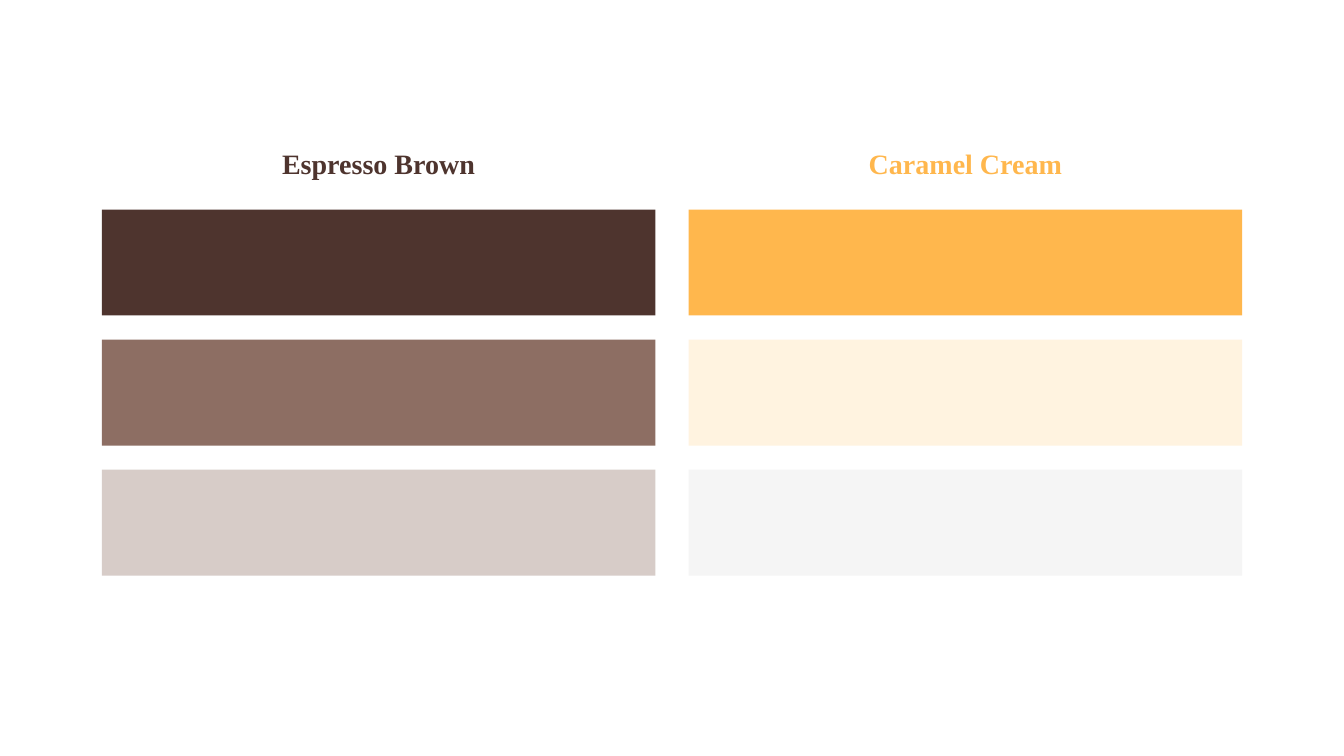
"""Build a slide with two named colour palettes of three swatches each."""
from pptx import Presentation
from pptx.dml.color import RGBColor
from pptx.enum.shapes import MSO_SHAPE
from pptx.enum.text import MSO_AUTO_SIZE, PP_ALIGN
from pptx.util import Inches, Pt

RECTANGLE = MSO_SHAPE.RECTANGLE
GROW = MSO_AUTO_SIZE.SHAPE_TO_FIT_TEXT
CENTER = PP_ALIGN.CENTER

ESPRESSO = RGBColor(0x4E, 0x34, 0x2E)
MOCHA = RGBColor(0x8D, 0x6E, 0x63)
LATTE = RGBColor(0xD7, 0xCC, 0xC8)
CARAMEL = RGBColor(0xFF, 0xB7, 0x4D)
CREAM = RGBColor(0xFF, 0xF3, 0xE0)
FOAM = RGBColor(0xF5, 0xF5, 0xF5)

PALETTES = {
    "Espresso Brown": (ESPRESSO, MOCHA, LATTE),
    "Caramel Cream": (CARAMEL, CREAM, FOAM),
}
HEADING_FONT = {"name": "Times New Roman", "size": Pt(20), "bold": True}

LEFT, COLUMN_STEP = 1.01, 5.82
TOP, ROW_STEP = 2.08, 1.29
SWATCH_WIDTH, SWATCH_HEIGHT = 5.49, 1.05
HEADING_TOP, HEADING_WIDTH, HEADING_HEIGHT = 1.4, 2.12, 0.44

deck = Presentation()
deck.slide_width = Inches(13.33)
deck.slide_height = Inches(7.5)
page = deck.slides.add_slide(deck.slide_layouts[6])

for column, (name, colors) in enumerate(PALETTES.items()):
    left = LEFT + column * COLUMN_STEP
    for row, color in enumerate(colors):
        swatch = page.shapes.add_shape(
            RECTANGLE, Inches(left), Inches(TOP + row * ROW_STEP),
            Inches(SWATCH_WIDTH), Inches(SWATCH_HEIGHT))
        swatch.shadow.inherit = False
        swatch.fill.solid()
        swatch.fill.fore_color.rgb = color
        swatch.line.fill.background()

    heading_left = left + (SWATCH_WIDTH - HEADING_WIDTH) / 2
    box = page.shapes.add_textbox(
        Inches(heading_left), Inches(HEADING_TOP),
        Inches(HEADING_WIDTH), Inches(HEADING_HEIGHT))
    box.text_frame.word_wrap = True
    box.text_frame.auto_size = GROW
    para = box.text_frame.paragraphs[0]
    para.alignment = CENTER
    span = para.add_run()
    span.text = name
    for attribute, value in HEADING_FONT.items():
        setattr(span.font, attribute, value)
    span.font.color.rgb = colors[0]

deck.save("out.pptx")
